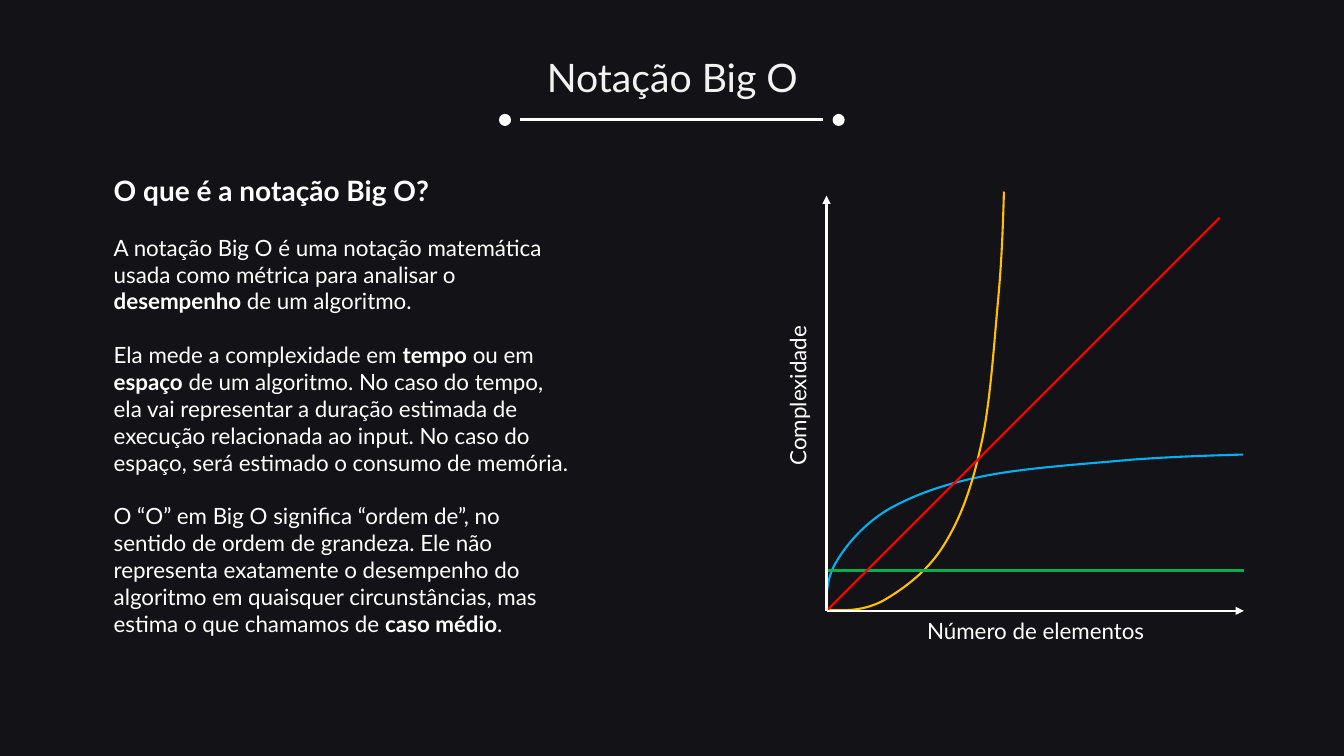
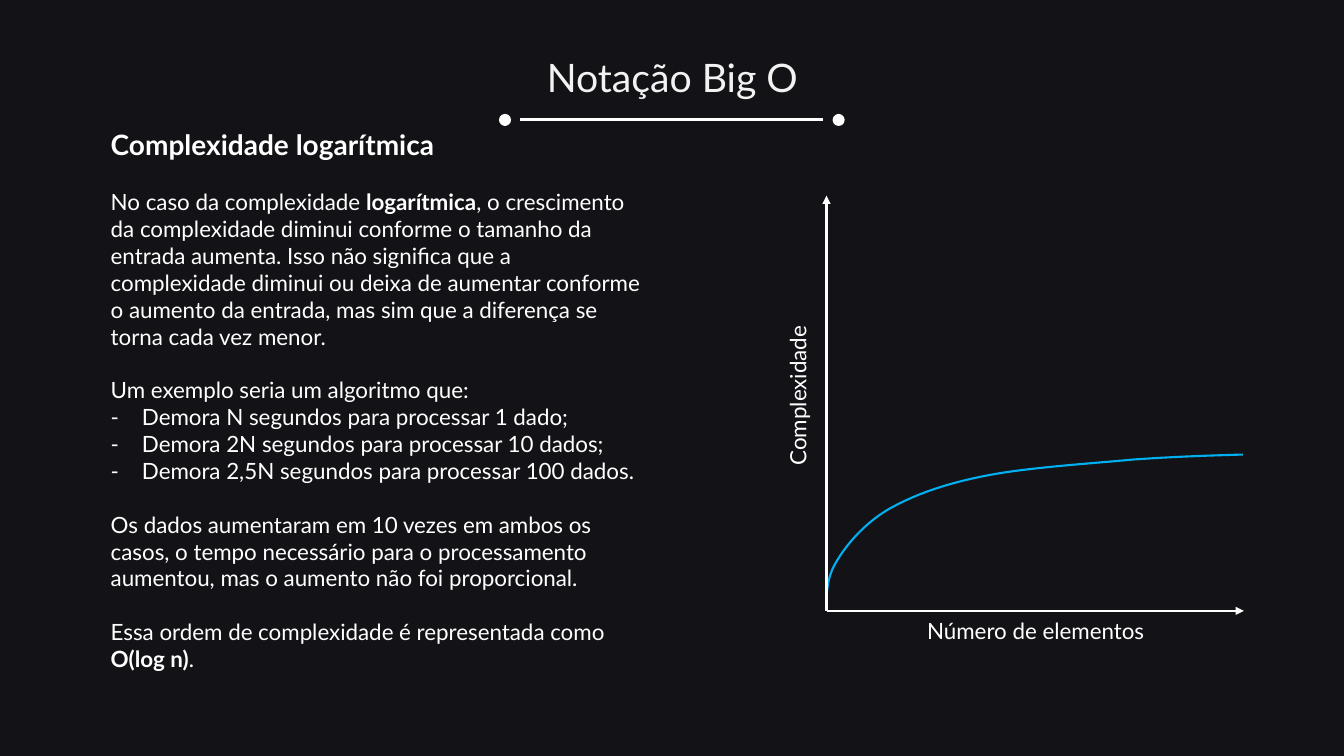
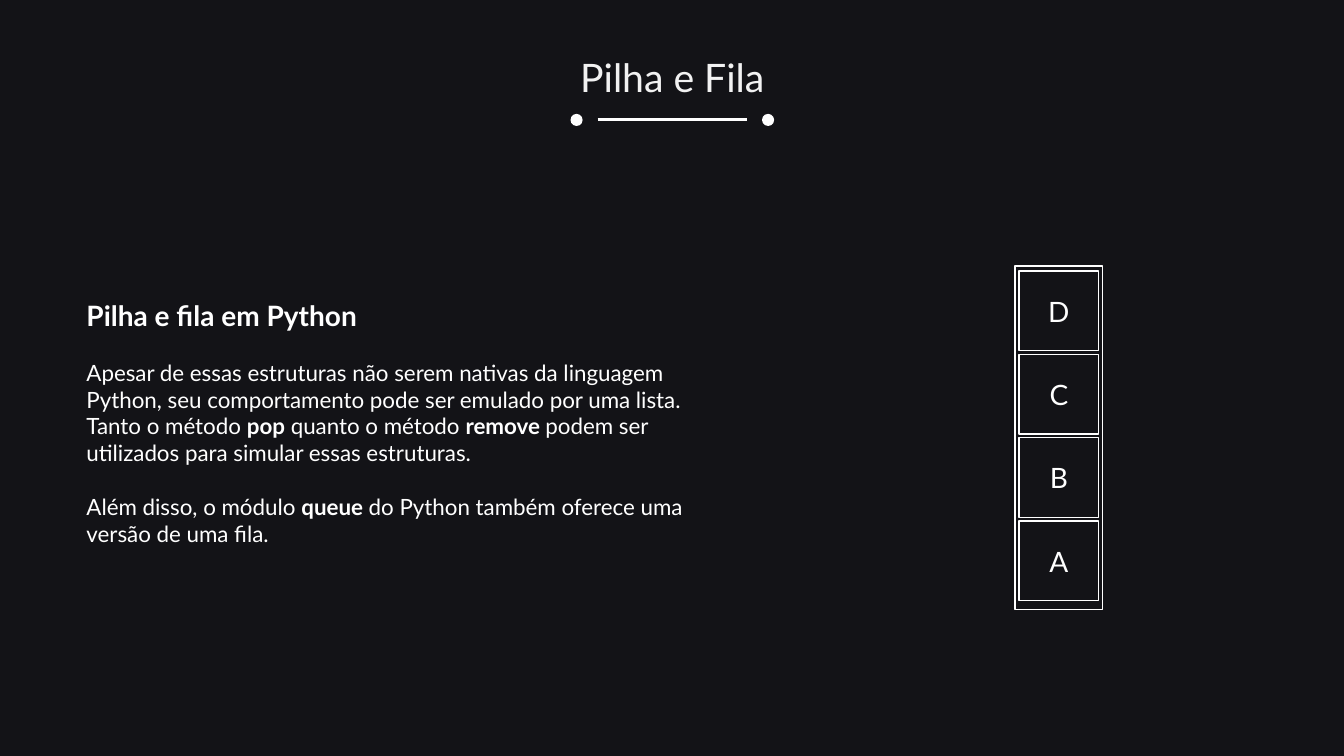
from lxml.etree import Element, SubElement
from pptx import Presentation
from pptx.dml.color import RGBColor
from pptx.enum.shapes import MSO_CONNECTOR, MSO_SHAPE
from pptx.enum.text import MSO_ANCHOR, PP_ALIGN
from pptx.oxml.ns import qn
from pptx.util import Inches, Pt

FONT = "Lato"
WHITE, SOFT, DARK = "FFFFFF", "F2F2F2", "131317"
BLUE, GOLD, GREEN, RED = "00B0F0", "FFC000", "00B050", "FF0000"
PLOT = (8.2, 1.94, 4.14, 4.12)

# Curves in inches from the axis origin, y upwards:
# a start point, then cubic pieces (two controls and an end)
LOG = [(0, 0.02),
       (0, 0.17), (0, 0.33), (0.1, 0.49),
       (0.2, 0.66), (0.38, 0.87), (0.62, 1.01),
       (0.87, 1.15), (1.17, 1.26), (1.58, 1.34),
       (1.98, 1.42), (2.61, 1.46), (3.04, 1.5),
       (3.46, 1.53), (3.8, 1.54), (4.13, 1.55)]
POWER = [(0.01, 0.01),
         (0.19, 0), (0.37, 0), (0.56, 0.1),
         (0.75, 0.21), (0.99, 0.38), (1.15, 0.63),
         (1.31, 0.88), (1.43, 1.18), (1.52, 1.59),
         (1.62, 1.99), (1.66, 2.63), (1.7, 3.06),
         (1.74, 3.49), (1.75, 3.82), (1.76, 4.16)]

# Body text: *bold*, and "- " starts a list item
ABOUT = [
    "A notação Big O é uma notação matemática usada como métrica para "
    "analisar o *desempenho *de um algoritmo.",
    "Ela mede a complexidade em *tempo* ou em *espaço* de um algoritmo. "
    "No caso do tempo, ela vai representar a duração estimada de execução "
    "relacionada ao input. No caso do espaço, será estimado o consumo de "
    "memória.",
    "O “O” em Big O significa “ordem de”, no sentido de ordem de grandeza. "
    "Ele não representa exatamente o desempenho do algoritmo em quaisquer "
    "circunstâncias, mas estima o que chamamos de *caso médio*.",
]
GROWTH = [
    "No caso da complexidade *logarítmica*, o crescimento da complexidade "
    "diminui conforme o tamanho da entrada aumenta. Isso não significa que "
    "a complexidade diminui ou deixa de aumentar conforme o aumento da "
    "entrada, mas sim que a diferença se torna cada vez menor.",
    "Um exemplo seria um algoritmo que:",
    "- Demora N segundos para processar 1 dado;",
    "- Demora 2N segundos para processar 10 dados;",
    "- Demora 2,5N segundos para processar 100 dados.",
    "Os dados aumentaram em 10 vezes em ambos os casos, o tempo necessário "
    "para o processamento aumentou, mas o aumento não foi proporcional.",
    "Essa ordem de complexidade é representada como *O(log n)*.",
]
PYTHON = [
    "Apesar de essas estruturas não serem nativas da linguagem Python, seu "
    "comportamento pode ser emulado por uma lista. Tanto o método *pop* "
    "quanto o método *remove *podem ser utilizados para simular essas "
    "estruturas.",
    "Além disso, o módulo *queue *do Python também oferece uma versão de "
    "uma fila.",
]


def paint(color, tone):
    color.rgb = RGBColor.from_string(tone)


def style(run, size, tone=WHITE, bold=False):
    run.font.name, run.font.size, run.font.bold = FONT, Pt(size), bold
    paint(run.font.color, tone)


def label(frame, text, size, tone=WHITE):
    frame.text = text
    frame.word_wrap = True
    para = frame.paragraphs[0]
    para.alignment = PP_ALIGN.CENTER
    style(para.runs[0], size, tone)


def text_box(area, box):
    frame = area.shapes.add_textbox(*map(Inches, box)).text_frame
    frame.word_wrap = True
    return frame


def shape(area, kind, box, fill=None):
    item = area.shapes.add_shape(kind, *map(Inches, box))
    item.shadow.inherit = False
    if fill:
        item.fill.solid()
        paint(item.fill.fore_color, fill)
        item.line.fill.background()
    else:
        item.fill.background()
        paint(item.line.color, WHITE)
        item.line.width = Pt(1)
    return item


def line(area, start, end, tone=WHITE, width=1.5, arrow=False):
    item = area.shapes.add_connector(
        MSO_CONNECTOR.STRAIGHT, *map(Inches, (*start, *end)))
    paint(item.line.color, tone)
    item.line.width = Pt(width)
    if arrow:
        SubElement(item.line._get_or_add_ln(), qn("a:tailEnd"),
                   type="triangle")
    SubElement(item._element.spPr, qn("a:effectLst"))


def curve(area, origin, points, tone):
    """Open outline whose straight pieces are turned into cubic ones."""
    x, y = origin
    dots = [(Inches(x + a), Inches(y - b)) for a, b in points]
    form = area.shapes.build_freeform(*dots[0])
    form.add_line_segments(dots[3::3], close=False)
    item = form.convert_to_shape()
    pieces = list(item._element.iter(qn("a:lnTo")))
    for i, piece in enumerate(pieces):
        piece.tag = qn("a:cubicBezTo")
        for n, (a, b) in enumerate(dots[3 * i + 1:3 * i + 3]):
            piece.insert(n, Element(qn("a:pt"), x=str(a - item.left),
                                    y=str(b - item.top)))
    item.shadow.inherit = False
    item.fill.background()
    paint(item.line.color, tone)
    item.line.width = Pt(1.5)


def header(slide, title, box, left, right, gap):
    """Centred title over a rule with a dot at either end."""
    label(text_box(slide, box), title, 28, SOFT)
    rule = slide.shapes.add_group_shape()
    y, dot = box[1] + 0.71, 0.12
    line(rule, (left, y), (right, y), width=2.25)
    for x in (left - gap, right + gap):
        shape(rule, MSO_SHAPE.OVAL,
              (x - dot / 2, y - dot / 2, dot, dot), WHITE)


def body(slide, box, head, texts):
    """Bold heading, paragraphs and dashed items."""
    frame = text_box(slide, box)
    frame.text = head
    style(frame.paragraphs[0].runs[0], 20, bold=True)
    for text in texts:
        para = frame.add_paragraph()
        if text.startswith("- "):
            text = text[2:]
            props = para._p.get_or_add_pPr()
            props.set("marL", str(Inches(0.31)))
            props.set("indent", str(-Inches(0.31)))
            SubElement(props, qn("a:buFont"), typeface=FONT)
            SubElement(props, qn("a:buChar"), char="-")
        else:
            para.space_before = Pt(19.2)
        for i, part in enumerate(text.split("*")):
            run = para.add_run()
            run.text = part
            style(run, 16, bold=i % 2 == 1)


def plot(slide, box, curves, lines=()):
    """Labelled axes with curves and straight lines."""
    x, y, wide, high = box
    base = y + high
    for points, tone in curves:
        curve(slide, (x, base), points, tone)
    for (a, b), (c, d), tone in lines:
        line(slide, (x + a, base - b), (x + c, base - d), tone)
    axes = slide.shapes.add_group_shape()
    side = text_box(axes, (x - 0.47, y + 1.14, 0.47, 1.69))
    label(side, "Complexidade", 16)
    side._txBody.bodyPr.set("vert", "vert270")
    label(text_box(axes, (x + 0.77, base + 0.01, 2.61, 0.37)),
          "Número de elementos", 16)
    for end in ((x, y), (x + wide, base)):
        line(axes, (x, base), end, arrow=True)


def stack(slide, box, names):
    """Framed column of square cells, listed from the bottom."""
    x, y, wide, high = box
    size, top, foot = 0.79, 0.05, 0.09
    step = (high - top - foot - size) / (len(names) - 1)
    group = slide.shapes.add_group_shape()
    for i, name in enumerate(names):
        cell = shape(group, MSO_SHAPE.RECTANGLE,
                     (x + (wide - size) / 2,
                      y + high - foot - size - i * step, size, size))
        label(cell.text_frame, name, 20)
        cell.text_frame.vertical_anchor = MSO_ANCHOR.MIDDLE
    shape(group, MSO_SHAPE.RECTANGLE, box)


def main():
    deck = Presentation()
    deck.slide_height = Inches(7.5)
    deck.slide_width = Inches(7.5 * 16 / 9)

    def add():
        slide = deck.slides.add_slide(deck.slide_layouts[6])
        slide.background.fill.solid()
        paint(slide.background.fill.fore_color, DARK)
        return slide

    big_o = ("Notação Big O", (5.3, 0.48, 2.74, 0.57), 5.16, 8.17, 0.15)

    # What Big O is
    slide = add()
    plot(slide, PLOT, [(LOG, BLUE), (POWER, GOLD)],
         [((0, 0.4), (4.14, 0.4), GREEN), ((3.9, 3.9), (0, 0), RED)])
    header(slide, *big_o)
    body(slide, (1.03, 1.67, 4.73, 5.02), "O que é a notação Big O?", ABOUT)

    # Logarithmic growth
    slide = add()
    header(slide, *big_o)
    body(slide, (1, 1.22, 5.48, 5.55), "Complexidade logarítmica", GROWTH)
    plot(slide, PLOT, [(LOG, BLUE)])

    # Stack and queue
    slide = add()
    header(slide, "Pilha e Fila", (3.11, 0.48, 7.12, 0.57), 5.93, 7.41, 0.21)
    body(slide, (0.76, 2.91, 6.24, 2.59), "Pilha e fila em Python", PYTHON)
    stack(slide, (10.07, 2.64, 0.87, 3.41), "ABCD")

    deck.save("out.pptx")


if __name__ == "__main__":
    main()
